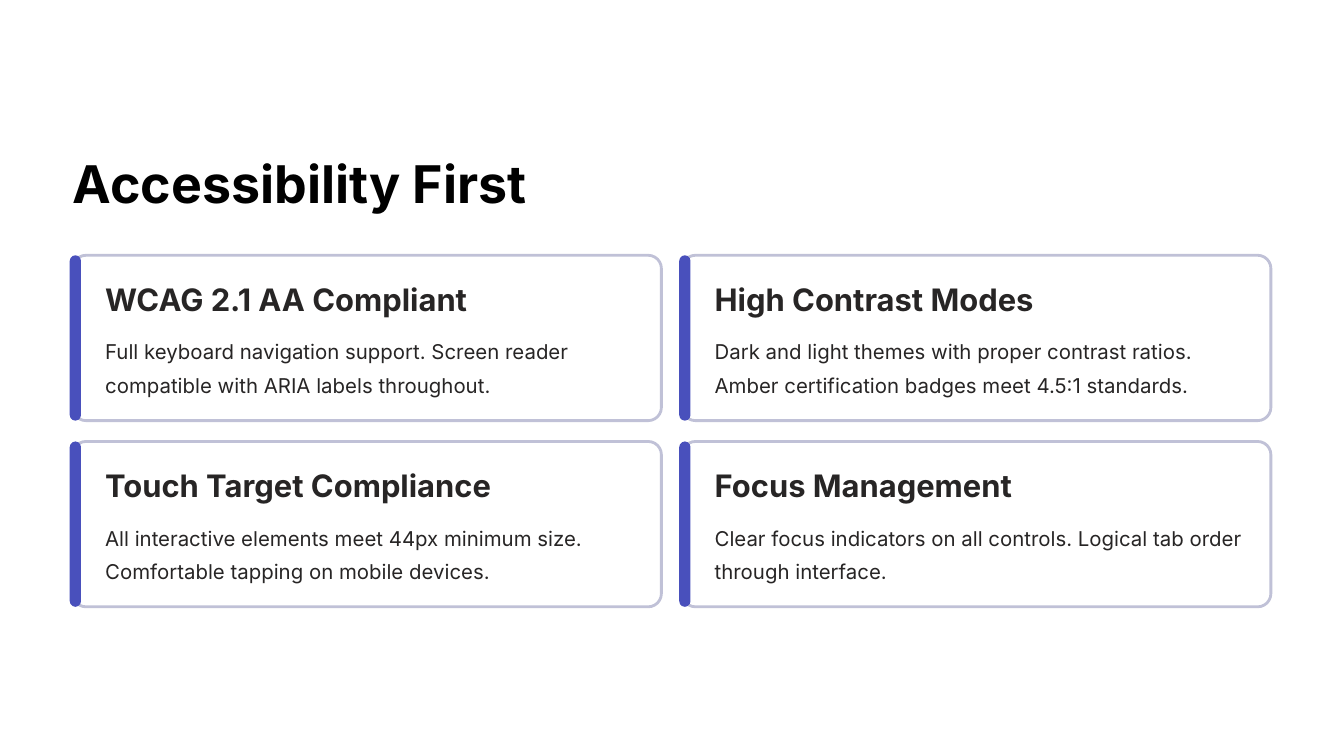
from pptx import Presentation
from pptx import util as u
from pptx.dml.color import RGBColor
from pptx.enum import shapes, text

WHITE = RGBColor(0xFF, 0xFF, 0xFF)
BLACK = RGBColor(0x00, 0x00, 0x00)
INK = RGBColor(0x27, 0x25, 0x25)
INDIGO = RGBColor(0x49, 0x50, 0xBC)
BORDER = RGBColor(0xC0, 0xC1, 0xD7)

CARD_LEFT, CARD_TOP = 2.2, 7.72
CARD_WIDTH, CARD_HEIGHT = 17.8, 5.0
COLUMN_STEP, ROW_STEP = 18.43, 5.63

CARDS = [
    ("WCAG 2.1 AA Compliant",
     "Full keyboard navigation support. Screen reader compatible with ARIA labels throughout."),
    ("High Contrast Modes",
     "Dark and light themes with proper contrast ratios. Amber certification badges meet 4.5:1 standards."),
    ("Touch Target Compliance",
     "All interactive elements meet 44px minimum size. Comfortable tapping on mobile devices."),
    ("Focus Management",
     "Clear focus indicators on all controls. Logical tab order through interface."),
]


class SlideBuilder:
    font_name = "Inter"

    def __init__(self, slide):
        self.slide = slide

    def rounded_box(self, left, top, width, height, radius, fill, line=None):
        shape = self.slide.shapes.add_shape(
            shapes.MSO_SHAPE.ROUNDED_RECTANGLE,
            u.Cm(left), u.Cm(top), u.Cm(width), u.Cm(height))
        shape.adjustments[0] = radius
        shape.shadow.inherit = False
        shape.fill.solid()
        shape.fill.fore_color.rgb = fill
        if line is None:
            shape.line.fill.background()
        else:
            shape.line.color.rgb = line
            shape.line.width = u.Pt(2.4)

    def label(self, content, left, top, width, height, size, spacing,
              color=INK, bold=False, wrap=False):
        box = self.slide.shapes.add_textbox(
            u.Cm(left), u.Cm(top), u.Cm(width), u.Cm(height))
        frame = box.text_frame
        frame.margin_left = frame.margin_right = 0
        frame.margin_top = frame.margin_bottom = 0
        frame.word_wrap = wrap
        frame.vertical_anchor = text.MSO_ANCHOR.TOP
        frame.text = content
        paragraph = frame.paragraphs[0]
        paragraph.alignment = text.PP_ALIGN.LEFT
        paragraph.line_spacing = u.Pt(spacing)
        font = paragraph.runs[0].font
        font.name = self.font_name
        font.size = u.Pt(size)
        font.bold = bold
        font.color.rgb = color

    def card(self, left, top, heading, body):
        self.rounded_box(left, top, CARD_WIDTH, CARD_HEIGHT, 0.08, WHITE, BORDER)
        self.rounded_box(left - 0.09, top, 0.34, CARD_HEIGHT, 0.5, INDIGO)
        self.label(heading, left + 0.98, top + 0.71, 12, 1.2, 26.5, 33, bold=True)
        self.label(body, left + 0.98, top + 2.28, 16.13, 2, 17.5, 28.5, wrap=True)


def main():
    presentation = Presentation()
    presentation.slide_width = u.Cm(40.64)
    presentation.slide_height = u.Cm(22.86)
    slide = presentation.slides.add_slide(presentation.slide_layouts[6])
    slide.background.fill.solid()
    slide.background.fill.fore_color.rgb = WHITE

    builder = SlideBuilder(slide)
    builder.label("Accessibility First", CARD_LEFT, 4.5, 15.75, 1.98, 44.5, 55.5,
                  color=BLACK, bold=True)
    for index, (heading, body) in enumerate(CARDS):
        row, column = divmod(index, 2)
        builder.card(CARD_LEFT + column * COLUMN_STEP,
                     CARD_TOP + row * ROW_STEP, heading, body)
    presentation.save("out.pptx")


if __name__ == "__main__":
    main()
